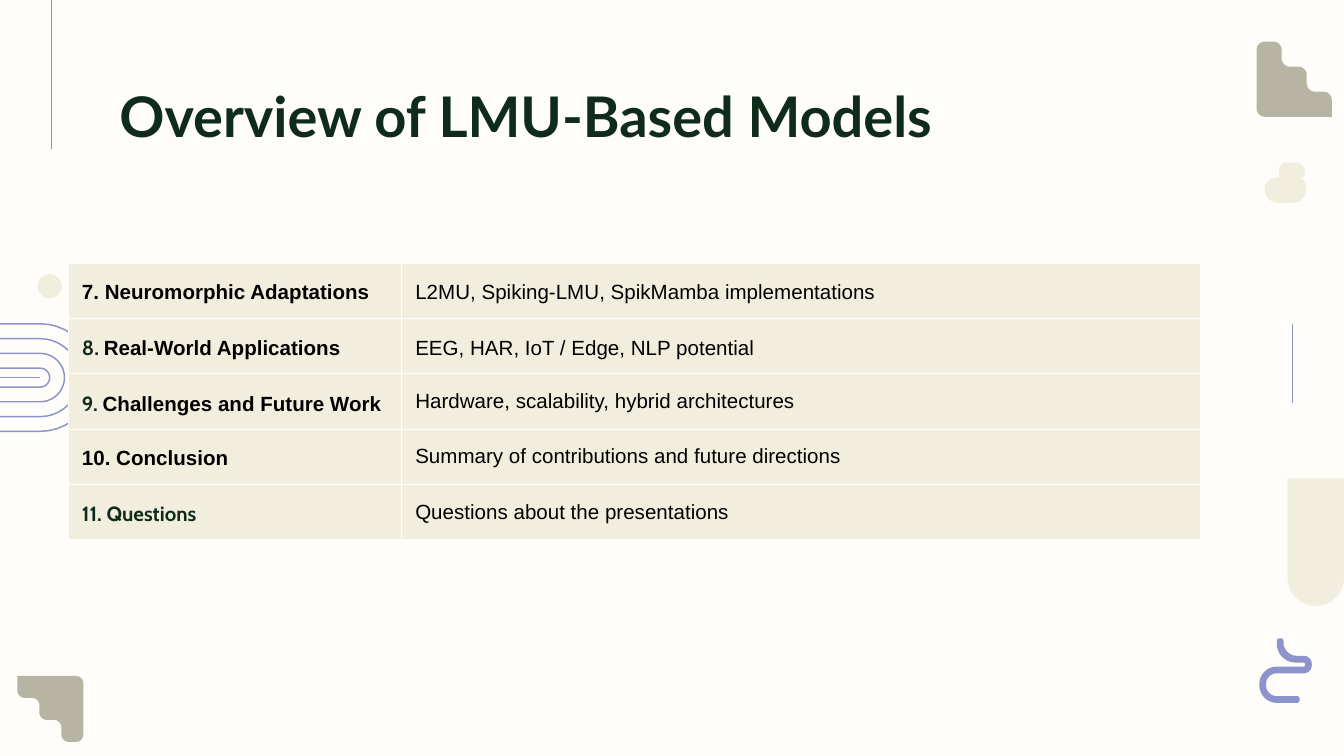
from dataclasses import dataclass
from math import cos, dist, pi, sin

from lxml import etree
from pptx import Presentation
from pptx.dml.color import RGBColor
from pptx.enum.shapes import MSO_CONNECTOR, MSO_SHAPE
from pptx.enum.text import MSO_ANCHOR
from pptx.oxml.ns import qn
from pptx.util import Inches, Pt

LINE = MSO_CONNECTOR.STRAIGHT
OVAL = MSO_SHAPE.OVAL
MIDDLE = MSO_ANCHOR.MIDDLE


@dataclass(frozen=True)
class Theme:
    paper: str = "FFFDF9"
    cream: str = "F1EEDD"
    stone: str = "B7B4A3"
    violet: str = "8D94CC"
    green: str = "0F2B1C"
    black: str = "000000"
    head: str = "Lato"
    body: str = "Arial"
    accent: str = "Cabin"
    title: float = 30
    cell: float = 11
    border: float = 0.75
    hair: float = 0.5
    ring: float = 0.8


def rgb(code):
    return RGBColor.from_string(code)


def toward(start, goal, gap):
    """Point at the given distance from start, on the way to goal."""
    span = dist(start, goal) or 1
    return tuple(s + (g - s) * gap / span for s, g in zip(start, goal))


def bend(prior, corner, after, radius, steps=10):
    """Quarter arc that rounds a right-angled corner."""
    a, b = toward(corner, prior, radius), toward(corner, after, radius)
    hub = [p + q - c for p, q, c in zip(a, b, corner)]
    turns = [pi / 2 * i / steps for i in range(steps + 1)]
    return [tuple(h + (p - h) * cos(t) + (q - h) * sin(t)
                  for h, p, q in zip(hub, a, b)) for t in turns]


class Painter:
    def __init__(self, slide, theme):
        self.slide, self.theme = slide, theme
        fill = slide.background.fill
        fill.solid()
        fill.fore_color.rgb = rgb(theme.paper)

    def paint(self, shape, color):
        shape.shadow.inherit = False
        shape.fill.solid()
        shape.fill.fore_color.rgb = rgb(color)
        shape.line.fill.background()

    def outline(self, corners, color, closed=True):
        """Corners are (x, y, radius); an open outline is only stroked."""
        path = []
        for i, (x, y, radius) in enumerate(corners):
            if radius:
                prior = corners[i - 1][:2]
                after = corners[(i + 1) % len(corners)][:2]
                path += bend(prior, (x, y), after, radius)
            else:
                path.append((x, y))
        points = [(Inches(x), Inches(y)) for x, y in path]
        pen = self.slide.shapes.build_freeform(*points[0])
        pen.add_line_segments(points[1:], close=closed)
        shape = pen.convert_to_shape()
        self.paint(shape, color)
        if not closed:
            shape.fill.background()
            shape.line.color.rgb = rgb(color)
            shape.line.width = Pt(self.theme.ring)

    def dot(self, x, y, size):
        box = map(Inches, (x, y, size, size))
        self.paint(self.slide.shapes.add_shape(OVAL, *box), self.theme.cream)

    def rule(self, x1, y1, x2, y2, width):
        ends = map(Inches, (x1, y1, x2, y2))
        line = self.slide.shapes.add_connector(LINE, *ends)
        line.line.color.rgb = rgb(self.theme.violet)
        line.line.width = Pt(width)
        etree.SubElement(line._element.spPr, qn("a:effectLst"))

    def stairs(self, x, y, size):
        """Three rounded steps; a negative size turns them half round."""
        step = size / 3
        grid = [(0, 0), (1, 0), (1, 1), (2, 1), (2, 2), (3, 2), (3, 3), (0, 3)]
        corners = [(x + step * c, y + step * r,
                    0 if (c, r) == (3, 3) else abs(step) / 3) for c, r in grid]
        self.outline(corners, self.theme.stone)

    def run(self, para, text, font, size, color, bold):
        run = para.add_run()
        run.text = text
        run.font.name, run.font.size = font, Pt(size)
        run.font.color.rgb, run.font.bold = rgb(color), bold

    def title(self, text, *box):
        look = self.theme
        frame = self.slide.shapes.add_textbox(*map(Inches, box)).text_frame
        frame.word_wrap = True
        frame.margin_left = frame.margin_right = Inches(0.1)
        frame.margin_top = frame.margin_bottom = Inches(0.1)
        self.run(frame.paragraphs[0], text, look.head, look.title, look.green, True)

    def border(self, cell):
        props = cell._tc.get_or_add_tcPr()
        for i, side in enumerate(("lnL", "lnR", "lnT", "lnB")):
            edge = etree.Element(qn("a:" + side), w=str(Pt(self.theme.border)))
            fill = etree.SubElement(edge, qn("a:solidFill"))
            etree.SubElement(fill, qn("a:srgbClr"), val=self.theme.paper)
            props.insert(i, edge)

    def cell(self, cell, runs, bold, spacing, after):
        look = self.theme
        cell.fill.solid()
        cell.fill.fore_color.rgb = rgb(look.cream)
        cell.vertical_anchor = MIDDLE
        cell.margin_left = cell.margin_right = Inches(0.1)
        cell.margin_top = cell.margin_bottom = Inches(0.1)
        self.border(cell)
        para = cell.text_frame.paragraphs[0]
        if spacing:
            para.line_spacing = spacing
        if after:
            para.space_after = Pt(after)
        for text, font in runs:
            color = look.green if font == look.accent else look.black
            self.run(para, text, font, look.cell, color, bold)

    def table(self, x, y, widths, height, least, rows):
        """Rows start at the least height and grow with their text."""
        box = map(Inches, (x, y, sum(widths), height))
        frame = self.slide.shapes.add_table(len(rows), len(widths), *box)
        grid = frame.table
        grid.first_row = grid.horz_banding = False
        for col, width in zip(grid.columns, widths):
            col.width = Inches(width)
        for i, (topic, detail, loose) in enumerate(rows):
            grid.rows[i].height = Inches(least)
            self.cell(grid.cell(i, 0), topic, True, 1.15, None)
            self.cell(grid.cell(i, 1), [(detail, self.theme.body)], False,
                      1.15 if loose else None, 16 if loose else None)
        frame.height = Inches(height)


def main():
    deck = Presentation()
    deck.slide_width = Inches(10)
    deck.slide_height = deck.slide_width * 9 // 16
    look = Theme()
    art = Painter(deck.slides.add_slide(deck.slide_layouts[6]), look)

    # Squiggle, lower right
    art.outline([
        (9.5, 4.75, 0.02), (9.55, 4.75, 0.02), (9.55, 4.88, 0.1),
        (9.76, 4.88, 0.06), (9.76, 5.01, 0.06), (9.42, 5.01, 0.08),
        (9.42, 5.18, 0.08), (9.67, 5.18, 0.02), (9.67, 5.23, 0.02),
        (9.37, 5.23, 0.13), (9.37, 4.96, 0.13), (9.71, 4.96, 0.01),
        (9.71, 4.93, 0.01), (9.5, 4.93, 0.14)], look.violet)

    # Stairs, dot, arch and cloud
    art.stairs(9.35, 0.31, 0.56)
    art.dot(0.28, 2.04, 0.18)
    art.outline([(9.58, 3.56, 0), (10, 3.56, 0), (10, 4.51, 0.21),
                 (9.58, 4.51, 0.21)], look.cream)
    art.outline([
        (9.51, 1.21, 0.07), (9.71, 1.21, 0.07), (9.71, 1.33, 0.04),
        (9.67, 1.33, 0), (9.72, 1.33, 0.05), (9.72, 1.51, 0.1),
        (9.41, 1.51, 0.1), (9.41, 1.32, 0.09), (9.52, 1.32, 0)], look.cream)
    art.stairs(0.62, 5.52, -0.49)

    # Nested loops at the left edge
    mid, hub = 2.81, 0.3
    for radius in (0.07, 0.18, 0.29, 0.4):
        top, low, right = mid - radius, mid + radius, hub + radius
        art.outline([(0, top, 0), (right, top, radius), (right, low, radius),
                     (0, low, 0)], look.violet, closed=False)
    art.rule(0, mid, hub, mid, look.ring)

    # Thin upright rules
    art.rule(0.38, 0, 0.38, 1.11, look.hair)
    art.rule(9.62, 2.41, 9.62, 3, look.hair)

    # Title and table
    art.title("Overview of LMU-Based Models", 0.79, 0.51, 8.43, 0.69)
    body, accent = look.body, look.accent
    art.table(0.51, 1.96, (2.48, 5.94), 1.96, 0.33, [
        ([("7. Neuromorphic Adaptations", body)],
         "L2MU, Spiking-LMU, SpikMamba implementations", True),
        ([("8. ", accent), ("Real-World Applications", body)],
         "EEG, HAR, IoT / Edge, NLP potential", True),
        ([("9. ", accent), ("Challenges and Future Work", body)],
         "Hardware, scalability, hybrid architectures", False),
        ([("10. Conclusion", body)],
         "Summary of contributions and future directions", False),
        ([("11. Questions", accent)],
         "Questions about the presentations", False),
    ])
    deck.save("out.pptx")


if __name__ == "__main__":
    main()
